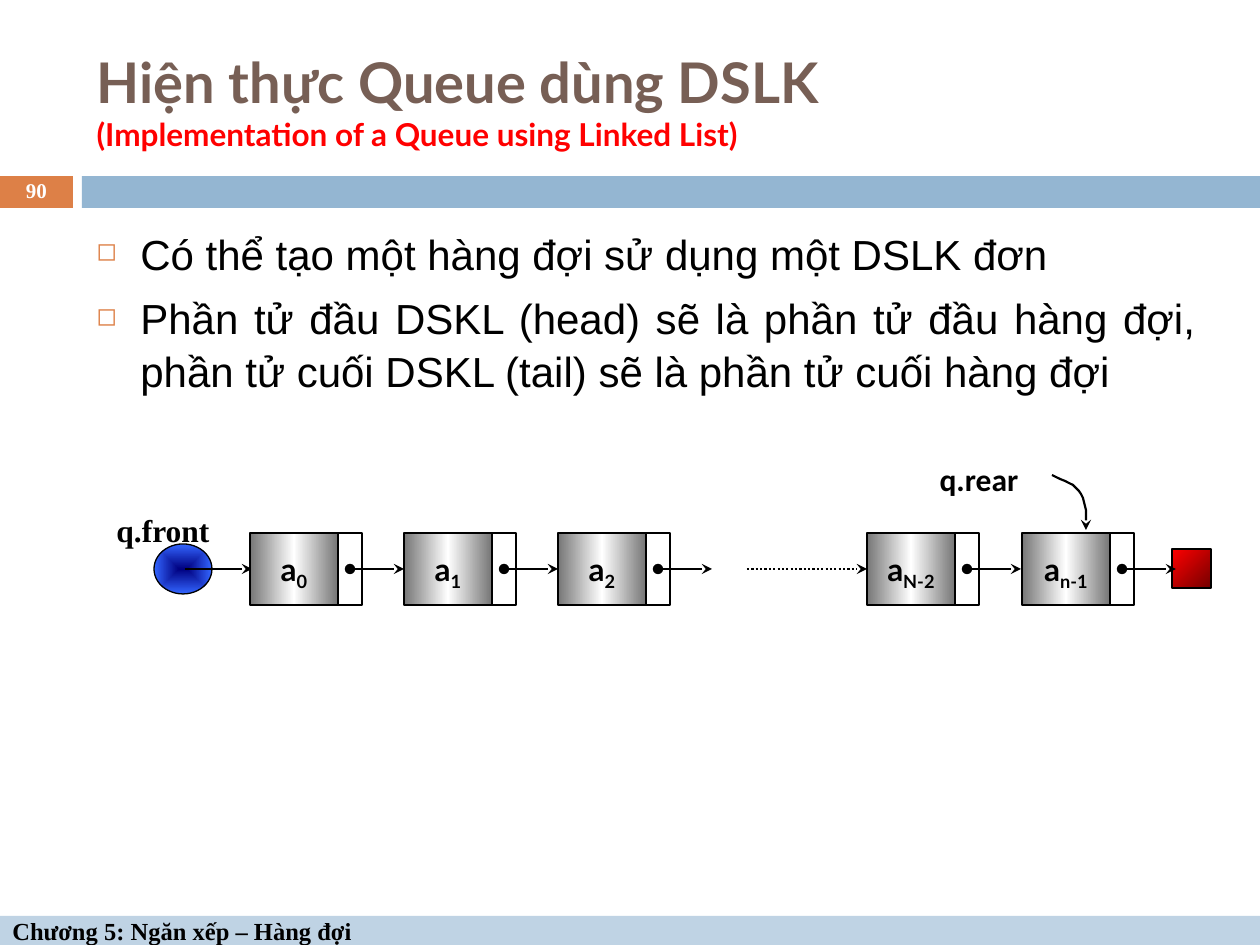
from lxml.etree import SubElement
from pptx import Presentation
from pptx.dml.color import RGBColor
from pptx.enum.dml import MSO_LINE
from pptx.enum.shapes import MSO_CONNECTOR, MSO_SHAPE
from pptx.enum.text import MSO_ANCHOR, MSO_AUTO_SIZE, PP_ALIGN
from pptx.oxml import parse_xml
from pptx.oxml.ns import nsdecls, qn
from pptx.util import Emu, Pt

PX = 914400 / 126
COLORS = {
    "title": "775F55", "red": "FF0000", "dark_red": "760000",
    "orange": "DD8047", "band": "94B6D2", "footer": "BFD3E4",
    "black": "000000", "white": "FFFFFF", "gray": "767676",
    "navy": "000080", "blue": "3366FF",
}
TITLE = [("Hiện thực Queue dùng DSLK", 32, "title"),
         ("(Implementation of a Queue using Linked List)", 18, "red")]
BULLETS = [
    "Có thể tạo một hàng đợi sử dụng một DSLK đơn",
    "Phần tử đầu DSKL (head) sẽ là phần tử đầu hàng đợi, "
    "phần tử cuối DSKL (tail) sẽ là phần tử cuối hàng đợi",
]
FOOTER = "Chương 5: Ngăn xếp – Hàng đợi"
PAGE = "90"
NODES = [(0, "0"), (1, "1"), (2, "2"), (4, "N-2"), (5, "n-1")]
POINTERS = [("q.front", 84, 502, "Times New Roman"),
            ("q.rear", 900, 451, "Calibri")]
REAR_CURVE = [
    [(1052, 475), (1063, 480), (1076, 484), (1081, 494)],
    [(1081, 494), (1087, 503), (1087, 517), (1086, 530)],
]
NODE_X, NODE_Y, NODE_H = 250, 533, 72
DATA_W, LINK_W = 88, 24
AXIS_Y = 569
LINEAR = '<a:lin ang="{}" scaled="0"/>'
CENTERED = ('<a:path path="rect"><a:fillToRect l="50000" t="50000" '
            'r="50000" b="50000"/></a:path>')


def px(*values):
    return [Emu(round(v * PX)) for v in values]


def rgb(name):
    return RGBColor.from_string(COLORS[name])


def style(r, size, font, color, bold=True):
    r.font.size, r.font.name, r.font.bold = Pt(size), font, bold
    r.font.color.rgb = rgb(color)


def add_box(box, fill, line=None, kind=MSO_SHAPE.RECTANGLE):
    sp = slide.shapes.add_shape(kind, *px(*box))
    sp.shadow.inherit = False
    sp.fill.solid()
    sp.fill.fore_color.rgb = rgb(fill)
    if line:
        sp.line.color.rgb = rgb(line)
        sp.line.width = Pt(0.75)
    else:
        sp.line.fill.background()
    return sp


def set_gradient(sp, names, direction):
    stops = "".join(
        f'<a:gs pos="{i * 100000 // (len(names) - 1)}">'
        f'<a:srgbClr val="{COLORS[name]}"/></a:gs>'
        for i, name in enumerate(names))
    grad = parse_xml(f'<a:gradFill {nsdecls("a")} rotWithShape="1">'
                     f'<a:gsLst>{stops}</a:gsLst>{direction}</a:gradFill>')
    props = sp._element.spPr
    props.replace(props.find(qn("a:solidFill")), grad)


def add_text(box, size, font, color, text, align=PP_ALIGN.CENTER, margin=0):
    sp = slide.shapes.add_textbox(*px(*box))
    tf = sp.text_frame
    tf.word_wrap = True
    tf.vertical_anchor = MSO_ANCHOR.MIDDLE
    tf.margin_left = tf.margin_right = tf.margin_top = tf.margin_bottom = margin
    p = tf.paragraphs[0]
    p.text, p.alignment = text, align
    style(p.runs[0], size, font, color)
    return p


def finish_line(sp, oval=False):
    sp.line.color.rgb = rgb("black")
    sp.line.width = Pt(1.25)
    ln = sp.line._get_or_add_ln()
    if oval:
        SubElement(ln, qn("a:headEnd"), type="oval")
    SubElement(ln, qn("a:tailEnd"), type="stealth")


def add_arrow(x1, x2, oval=False, dotted=False):
    c = slide.shapes.add_connector(
        MSO_CONNECTOR.STRAIGHT, *px(x1, AXIS_Y, x2, AXIS_Y))
    SubElement(c._element.spPr, qn("a:effectLst"))
    if dotted:
        c.line.dash_style = MSO_LINE.ROUND_DOT
    finish_line(c, oval)


def bezier(points, t):
    weights = ((1 - t) ** 3, 3 * t * (1 - t) ** 2, 3 * t * t * (1 - t), t ** 3)
    return tuple(sum(w * pt[axis] for w, pt in zip(weights, points))
                 for axis in (0, 1))


prs = Presentation()
prs.slide_width, prs.slide_height = px(1260, 945)
slide = prs.slides.add_slide(prs.slide_layouts[5])

add_box((0, 176, 73, 32), "orange")
add_box((82, 176, 1178, 32), "band")
footer = add_box((0, 916, 1260, 29), "footer")
footer.text_frame.text = FOOTER
footer.text_frame.vertical_anchor = MSO_ANCHOR.MIDDLE
p = footer.text_frame.paragraphs[0]
p.alignment = PP_ALIGN.LEFT
style(p.runs[0], 14, "Times New Roman", "black")

title = slide.shapes.title
title.left, title.top, title.width, title.height = px(84, 32, 1124, 136)
tf = title.text_frame
tf.text = "\v".join(text for text, _, _ in TITLE)
tf.auto_size = MSO_AUTO_SIZE.NONE
tf.vertical_anchor = MSO_ANCHOR.MIDDLE
p = tf.paragraphs[0]
p.alignment = PP_ALIGN.LEFT
for r, (_, size, color) in zip(p.runs, TITLE):
    style(r, size, "Lato", color)

p = add_text((0, 175, 73, 34), 12, "Times New Roman", "white", PAGE,
             margin=Pt(3.6))
p.line_spacing = 0.8

body = slide.shapes.add_textbox(*px(84, 220, 1124, 620))
tf = body.text_frame
tf.text = "\n".join(BULLETS)
tf.word_wrap = True
for i, p in enumerate(tf.paragraphs):
    pPr = p._p.get_or_add_pPr()
    pPr.set("marL", str(px(44)[0]))
    pPr.set("indent", str(px(-44)[0]))
    color = SubElement(pPr, qn("a:buClr"))
    SubElement(color, qn("a:srgbClr"), val=COLORS["orange"])
    SubElement(pPr, qn("a:buSzPct"), val="60000")
    SubElement(pPr, qn("a:buChar"), char="◻")
    p.alignment = PP_ALIGN.JUSTIFY
    p.line_spacing = Pt(30)
    p.space_before = Pt(7 if i else 0)
    style(p.runs[0], 24, "Arial", "black", False)

front = add_box((154, 544, 58, 50), "blue", "black", MSO_SHAPE.OVAL)
set_gradient(front, ["navy", "blue"], CENTERED)
end = add_box((1172, 549, 39, 39), "red", "black")
set_gradient(end, ["red", "dark_red"], LINEAR.format(45 * 60000))

add_arrow(185, 252)
add_arrow(747, 867, dotted=True)
for slot, index in NODES:
    x = NODE_X + slot * 772 // 5
    add_box((x + DATA_W, NODE_Y, LINK_W, NODE_H), "white", "black")
    node = add_box((x, NODE_Y, DATA_W, NODE_H), "gray", "black")
    set_gradient(node, ["gray", "white", "gray"], LINEAR.format(0))
    tf = node.text_frame
    tf.margin_left = tf.margin_right = tf.margin_bottom = 0
    tf.margin_top = px(4)[0]
    tf.vertical_anchor = MSO_ANCHOR.MIDDLE
    p = tf.paragraphs[0]
    p.alignment = PP_ALIGN.CENTER
    for text in ("a", index):
        r = p.add_run()
        r.text = text
        style(r, 18, "Lato", "black")
    r.font._element.set("baseline", "-25000")
    add_arrow(x + 100, x + 154, oval=True)

for text, x, y, font in POINTERS:
    add_text((x, y, 158, 55), 18, font, "black", text)

points = [bezier(part, step / 8) for part in REAR_CURVE for step in range(9)]
builder = slide.shapes.build_freeform(*points[0], scale=PX)
builder.add_line_segments(points[1:], close=False)
curve = builder.convert_to_shape()
curve.shadow.inherit = False
curve.fill.background()
finish_line(curve)

prs.save("out.pptx")
